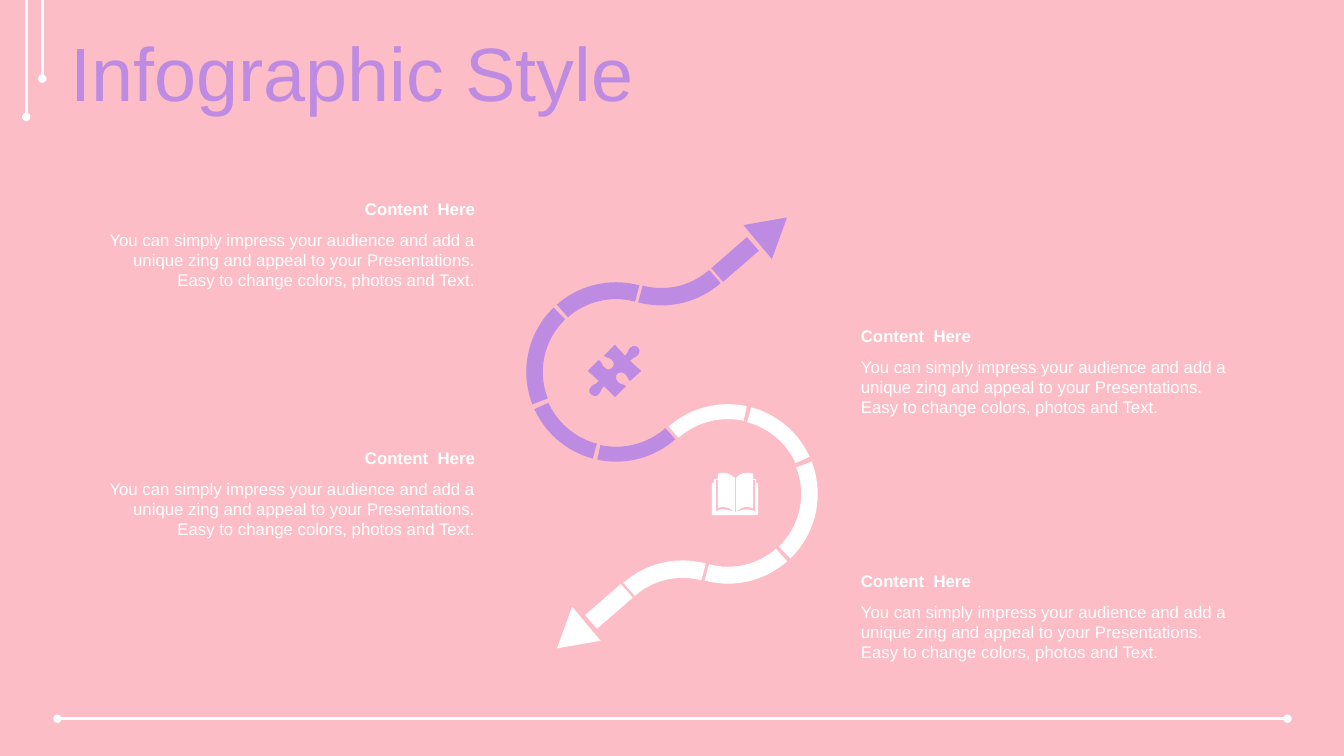
from dataclasses import dataclass

from lxml import etree
from pptx import Presentation
from pptx.dml.color import RGBColor
from pptx.enum.shapes import MSO_CONNECTOR, MSO_SHAPE as SHAPE
from pptx.enum.text import MSO_ANCHOR as ANCHOR, PP_ALIGN as ALIGN
from pptx.oxml.ns import qn
from pptx.util import Inches, Pt


@dataclass(frozen=True)
class Theme:
    font: str = "Arial"
    pink: RGBColor = RGBColor.from_string("FDBDC7")
    purple: RGBColor = RGBColor.from_string("BE8BE2")
    white: RGBColor = RGBColor.from_string("FFFFFF")
    title_size: int = 54
    text_size: int = 12
    line_width: int = 2


HEADING = "Content  Here"
BODY = ("You can simply impress your audience and add a unique zing and appeal "
        "to your Presentations. Easy to change colors, photos and Text.")
TEXT_BLOCKS = [  # left, top, alignment
    (8.44, 5.61, ALIGN.LEFT), (0.9, 1.92, ALIGN.RIGHT),
    (8.44, 3.18, ALIGN.LEFT), (0.9, 4.39, ALIGN.RIGHT),
]

RULES = [  # from, to, oval at the start as well
    ((0.57, 7.13), (12.77, 7.13), True),
    ((0.26, 0), (0.26, 1.16), False),
    ((0.42, 0), (0.42, 0.78), False),
]

# The white arrow is the purple one turned half a circle about PIVOT.
PIVOT = (6.665, 4.295)
ARC_SIZE = (1.78, 1.78)
LOOP = (6.11, 3.69)
ARROW_PARTS = [  # shape, centre, size, rotation, (start degrees, end degrees, thickness)
    (SHAPE.BLOCK_ARC, LOOP, ARC_SIZE, 285, (233.82, 300.96, 0.092)),
    (SHAPE.BLOCK_ARC, LOOP, ARC_SIZE, 285, (303.68, 0.12, 0.094)),
    (SHAPE.BLOCK_ARC, LOOP, ARC_SIZE, 285, (180, 230.49, 0.086)),
    (SHAPE.BLOCK_ARC, LOOP, ARC_SIZE, 105, (303.68, 357.1, 0.083)),
    (SHAPE.BLOCK_ARC, (6.56, 2.14), ARC_SIZE, 105, (303.68, 0.03, 0.097)),
    (SHAPE.RECTANGLE, (7.29, 2.575), (0.18, 0.47), 49, None),
    (SHAPE.ISOSCELES_TRIANGLE, (7.66, 2.28), (0.44, 0.38), 50, None),
]

# Outlines: a pair is a corner, six numbers are a Bézier curve.
PUZZLE = [
    (6.33, 3.45), (6.35, 3.46, 6.35, 3.5, 6.33, 3.52),
    (6.31, 3.55, 6.28, 3.54, 6.25, 3.58), (6.36, 3.68), (6.25, 3.78),
    (6.22, 3.76, 6.23, 3.73, 6.2, 3.71), (6.18, 3.69, 6.14, 3.69, 6.12, 3.71),
    (6.11, 3.72, 6.1, 3.76, 6.13, 3.79), (6.16, 3.82, 6.17, 3.8, 6.21, 3.83),
    (6.1, 3.94), (5.99, 3.83), (5.95, 3.87, 5.97, 3.88, 5.94, 3.91),
    (5.92, 3.94, 5.88, 3.93, 5.86, 3.91), (5.84, 3.9, 5.84, 3.86, 5.86, 3.84),
    (5.88, 3.81, 5.91, 3.82, 5.94, 3.78), (5.83, 3.68), (5.94, 3.57),
    (5.98, 3.6, 5.97, 3.63, 6, 3.65), (6.02, 3.67, 6.05, 3.67, 6.07, 3.65),
    (6.09, 3.63, 6.1, 3.6, 6.07, 3.57), (6.04, 3.54, 6.03, 3.56, 5.99, 3.53),
    (6.1, 3.42), (6.2, 3.53), (6.24, 3.49, 6.22, 3.48, 6.25, 3.45),
    (6.28, 3.42, 6.31, 3.43, 6.33, 3.45),
]
BOOK = [
    (7.29, 5.08), (7.3, 5.08), (7.37, 5.05, 7.41, 5.04, 7.49, 5.07),
    (7.49, 4.76), (7.47, 4.76), (7.47, 5.04),
    (7.41, 5.01, 7.35, 5.03, 7.3, 5.08), (7.3, 4.74),
    (7.33, 4.71, 7.36, 4.69, 7.4, 4.69), (7.42, 4.69, 7.44, 4.69, 7.47, 4.7),
    (7.47, 4.75), (7.5, 4.75), (7.5, 4.79), (7.52, 4.79), (7.52, 5.11),
    (7.06, 5.11), (7.06, 4.79), (7.08, 4.79), (7.08, 4.75), (7.12, 4.75),
    (7.12, 4.7), (7.14, 4.69, 7.16, 4.69, 7.18, 4.69),
    (7.22, 4.69, 7.25, 4.71, 7.29, 4.74), (7.29, 5.08),
    (7.23, 5.03, 7.17, 5.01, 7.12, 5.04), (7.12, 4.76), (7.1, 4.76),
    (7.1, 5.07), (7.17, 5.03, 7.22, 5.06, 7.29, 5.08),
]


def flatten(outline, steps=3):
    """Turn corners and Bézier curves into a plain list of points."""
    points = [outline[0]]
    for segment in outline[1:]:
        if len(segment) == 2:
            points.append(segment)
            continue
        controls = [points[-1], segment[:2], segment[2:4], segment[4:]]
        for step in range(1, steps + 1):
            t = step / steps
            weights = ((1 - t) ** 3, 3 * t * (1 - t) ** 2, 3 * t * t * (1 - t), t ** 3)
            points.append(tuple(sum(weight * control[axis]
                                    for weight, control in zip(weights, controls))
                                for axis in (0, 1)))
    return points


class SlideBuilder:
    def __init__(self, page, theme):
        self.page = page
        self.theme = theme
        page.background.fill.solid()
        page.background.fill.fore_color.rgb = theme.pink

    def group(self):
        return self.page.shapes.add_group_shape().shapes

    def paint(self, shape, color):
        shape.shadow.inherit = False
        shape.fill.solid()
        shape.fill.fore_color.rgb = color
        shape.line.fill.background()

    def rule(self, start, end, both_ends):
        line = self.page.shapes.add_connector(
            MSO_CONNECTOR.STRAIGHT, *map(Inches, start + end))
        line.line.color.rgb = self.theme.white
        line.line.width = Pt(self.theme.line_width)
        outline = line.line._get_or_add_ln()
        for tag in ("a:headEnd", "a:tailEnd") if both_ends else ("a:tailEnd",):
            etree.SubElement(outline, qn(tag), type="oval")
        etree.SubElement(line._element.spPr, qn("a:effectLst"))

    def arrow(self, shapes, color, turned=False):
        for kind, center, size, rotation, arc in ARROW_PARTS:
            if turned:
                center = [2 * pivot - place for pivot, place in zip(PIVOT, center)]
                rotation = (rotation + 180) % 360
            corner = [place - length / 2 for place, length in zip(center, size)]
            part = shapes.add_shape(kind, *map(Inches, (*corner, *size)))
            part.rotation = rotation
            if arc:
                start, end, thickness = arc
                # Angles are stored in 60000ths of a degree, adjustments in 100000ths.
                for index, value in enumerate((start * 0.6, end * 0.6, thickness)):
                    part.adjustments[index] = value
            self.paint(part, color)

    def icon(self, outline, color):
        points = [tuple(map(Inches, point)) for point in flatten(outline)]
        builder = self.page.shapes.build_freeform(*points[0])
        builder.add_line_segments(points[1:], close=True)
        self.paint(builder.convert_to_shape(), color)

    def text(self, shapes, text, place, size, color, align=ALIGN.LEFT,
             bold=False, anchor=ANCHOR.TOP):
        box = shapes.add_textbox(*map(Inches, place))
        frame = box.text_frame
        frame.word_wrap = True
        frame.vertical_anchor = anchor
        para = frame.paragraphs[0]
        para.text = text
        para.alignment = align
        para.font.name = self.theme.font
        para.font.size = Pt(size)
        para.font.bold = bold
        para.font.color.rgb = color
        return para

    def title(self, text):
        para = self.text(self.page.shapes, text, (0.6, 0.37, 12.73, 0.79),
                         self.theme.title_size, self.theme.purple, anchor=ANCHOR.MIDDLE)
        para.line_spacing = 0.9

    def text_block(self, left, top, align):
        shapes = self.group()
        style = (self.theme.text_size, self.theme.white, align)
        self.text(shapes, BODY, (left, top + 0.31, 3.91, 0.71), *style)
        self.text(shapes, HEADING, (left, top, 3.91, 0.3), *style, bold=True)


def main():
    deck = Presentation()
    deck.slide_width, deck.slide_height = Inches(13.33), Inches(7.5)
    theme = Theme()
    slide = SlideBuilder(deck.slides.add_slide(deck.slide_layouts[6]), theme)

    for rule in RULES:
        slide.rule(*rule)
    arrows = slide.group()
    slide.arrow(arrows, theme.purple)
    slide.arrow(arrows, theme.white, turned=True)
    slide.title("Infographic Style")
    for block in TEXT_BLOCKS:
        slide.text_block(*block)
    slide.icon(PUZZLE, theme.purple)
    slide.icon(BOOK, theme.white)
    deck.save("out.pptx")


if __name__ == "__main__":
    main()
